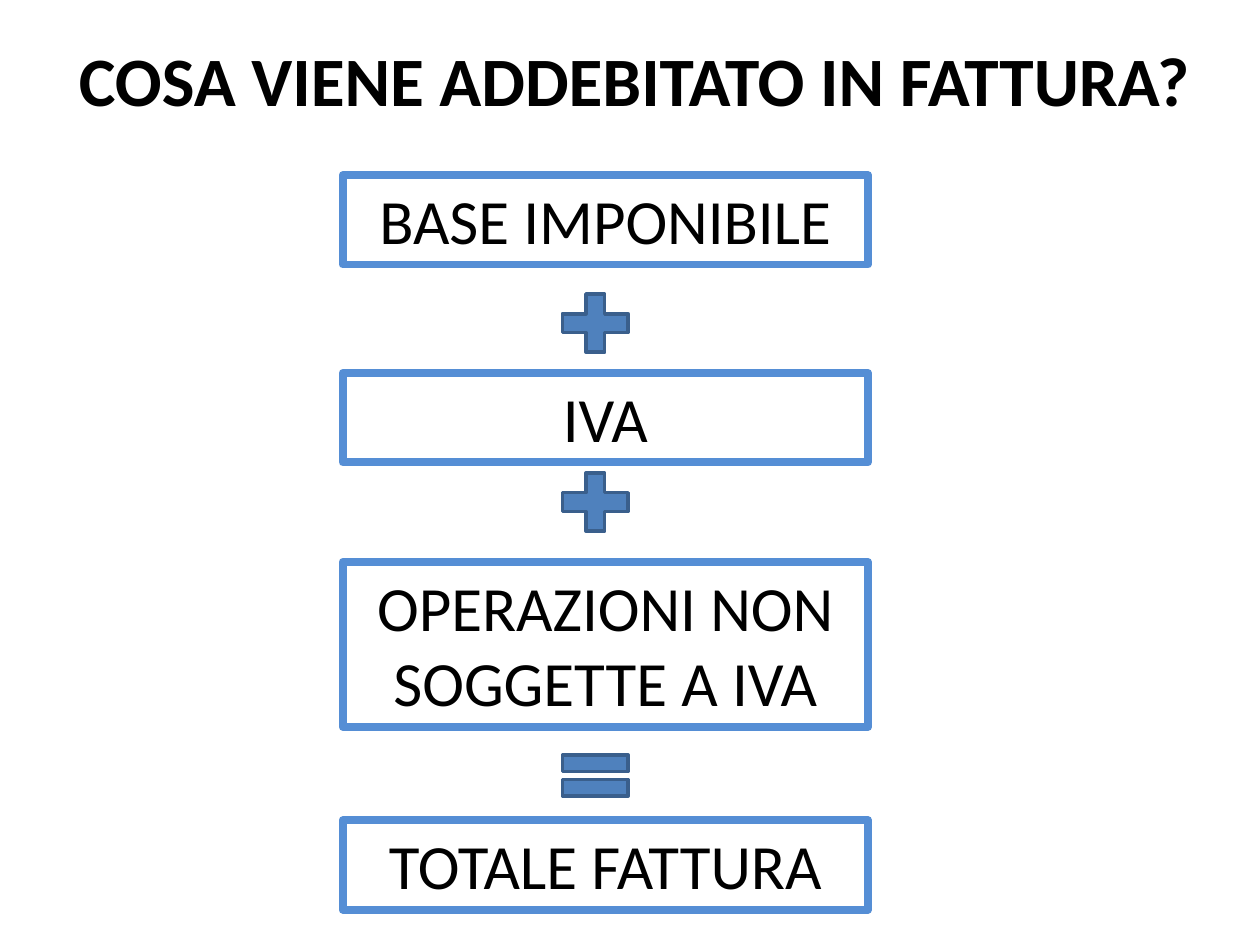
from typing import NamedTuple

from pptx import Presentation
from pptx.dml.color import RGBColor
from pptx.enum.shapes import MSO_SHAPE
from pptx.enum.text import MSO_ANCHOR, MSO_AUTO_SIZE, PP_ALIGN
from pptx.util import Inches, Pt

RECTANGLE = MSO_SHAPE.RECTANGLE
PLUS = MSO_SHAPE.MATH_PLUS
EQUAL = MSO_SHAPE.MATH_EQUAL
CENTER = PP_ALIGN.CENTER
MIDDLE = MSO_ANCHOR.MIDDLE
TOP = MSO_ANCHOR.TOP
GROW = MSO_AUTO_SIZE.SHAPE_TO_FIT_TEXT

FONT = "Calibri"
BLACK = "000000"
BOX_LINE = "558ED5"
SIGN_FILL = "4F81BD"
SIGN_LINE = "3A5F8C"
BOX_LEFT, BOX_WIDTH = 2.72, 4.17
SIGN_LEFT, SIGN_WIDTH = 4.37, 0.71


class Box(NamedTuple):
    text: str
    top: float
    height: float = 0.71


class Sign(NamedTuple):
    kind: MSO_SHAPE
    top: float
    height: float = 0.63


BOXES = [
    Box("BASE IMPONIBILE", 1.39),
    Box("IVA", 2.96),
    Box("OPERAZIONI NON SOGGETTE A IVA", 4.46, 1.31),
    Box("TOTALE FATTURA", 6.51),
]
SIGNS = [Sign(PLUS, 2.25), Sign(PLUS, 3.67), Sign(EQUAL, 5.88, 0.55)]


def color(value: str) -> RGBColor:
    return RGBColor.from_string(value)


def write_text(shape, text: str, size: float, bold: bool = False) -> None:
    shape.text_frame.word_wrap = True
    paragraph = shape.text_frame.paragraphs[0]
    paragraph.text = text
    paragraph.alignment = CENTER
    paragraph.font.name = FONT
    paragraph.font.size = Pt(size)
    paragraph.font.bold = bold
    paragraph.font.color.rgb = color(BLACK)


def add_title(slide, text: str) -> None:
    title = slide.shapes.add_textbox(Inches(0.35), Inches(0), Inches(9.37), Inches(1.25))
    title.text_frame.vertical_anchor = MIDDLE
    write_text(title, text, 39.6, bold=True)


def add_box(slide, box: Box) -> None:
    shape = slide.shapes.add_shape(
        RECTANGLE, Inches(BOX_LEFT), Inches(box.top), Inches(BOX_WIDTH), Inches(box.height)
    )
    shape.shadow.inherit = False
    shape.fill.background()
    shape.line.color.rgb = color(BOX_LINE)
    shape.line.width = Pt(4.5)
    shape.text_frame.vertical_anchor = TOP
    shape.text_frame.auto_size = GROW
    write_text(shape, box.text, 36)


def add_sign(slide, sign: Sign) -> None:
    shape = slide.shapes.add_shape(
        sign.kind, Inches(SIGN_LEFT), Inches(sign.top), Inches(SIGN_WIDTH), Inches(sign.height)
    )
    shape.shadow.inherit = False
    shape.fill.solid()
    shape.fill.fore_color.rgb = color(SIGN_FILL)
    shape.line.color.rgb = color(SIGN_LINE)
    shape.line.width = Pt(2)


def main() -> None:
    presentation = Presentation()
    presentation.slide_width = Inches(10)
    presentation.slide_height = Inches(7.5)
    slide = presentation.slides.add_slide(presentation.slide_layouts[6])
    add_title(slide, "COSA VIENE ADDEBITATO IN FATTURA?")
    for box in BOXES:
        add_box(slide, box)
    for sign in SIGNS:
        add_sign(slide, sign)
    presentation.save("out.pptx")


if __name__ == "__main__":
    main()
